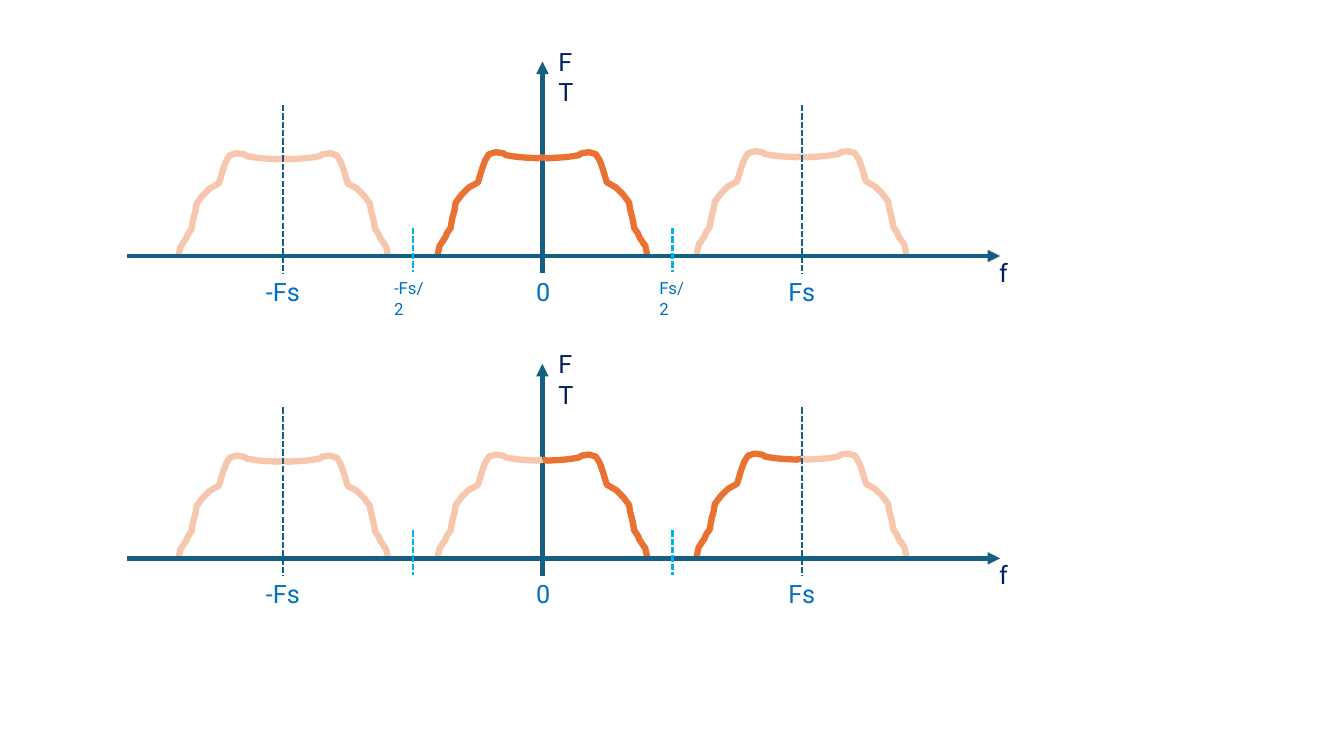
import math

from lxml import etree
from pptx import Presentation
from pptx import util as u
from pptx.dml.color import RGBColor
from pptx.enum import dml, shapes, text
from pptx.oxml.ns import qn

PX = 9144  # EMU per px, 100 px to the inch
COLOURS = {"axis": "156082", "nyquist": "00B0F0", "title": "002060",
           "tick": "0070C0", "strong": "E97132", "pale": "F6C6AD"}
ORIGIN = 538
PERIOD = 257
PANEL_STEP = 300
SAMPLE_LENGTH = 8

# Right half of a spectrum, relative to its middle: two controls and an end per curve
HALF_SPECTRUM = [
    ((2, 0), (3, 1), (5, 1)), ((25, 0), (24, 0), (36, -2)),
    ((37, -3), (38, -4), (39, -4)), ((47, -6), (46, -5), (53, -3)),
    ((58, 5), (56, 1), (59, 9)), ((59, 10), (60, 11), (60, 12)),
    ((62, 25), (59, 15), (63, 22)), ((63, 23), (63, 24), (64, 25)),
    ((66, 28), (70, 29), (73, 30)), ((75, 32), (78, 34), (80, 37)),
    ((85, 43), (83, 40), (86, 45)), ((86, 47), (87, 50), (87, 52)),
    ((88, 55), (89, 57), (89, 59)), ((89, 61), (90, 62), (90, 64)),
    ((90, 66), (90, 68), (91, 70)), ((92, 72), (94, 74), (95, 76)),
    ((95, 77), (95, 78), (96, 79)), ((100, 86), (98, 80), (102, 88)),
    ((104, 93), (104, 93), (104, 97)),
]

# Colours of the left and right halves around -Fs, 0 and Fs
PANELS = [
    [("pale", "pale"), ("strong", "strong"), ("pale", "pale")],
    [("pale", "pale"), ("pale", "strong"), ("strong", "pale")],
]


def set_values(target, values):
    for name, value in values.items():
        setattr(target, name, value)


def colour(name):
    return RGBColor.from_string(COLOURS[name])


def add_line(slide, start, end, name, width, dashed=False, arrow=False):
    line = slide.shapes.add_connector(
        shapes.MSO_CONNECTOR.STRAIGHT, *(v * PX for v in (*start, *end)))
    line.line.color.rgb = colour(name)
    line.line.width = u.Pt(width)
    if dashed:
        line.line.dash_style = dml.MSO_LINE.SQUARE_DOT
    if arrow:
        etree.SubElement(line.line._get_or_add_ln(), qn("a:tailEnd"), type="triangle")
    etree.SubElement(line._element.spPr, qn("a:effectLst"))


def sample_curves(curves):
    """Turn the chain of cubic curves, starting at (0, 0), into points."""
    points = []
    start = (0, 0)
    for first, second, end in curves:
        steps = max(1, round(math.dist(start, end) / SAMPLE_LENGTH))
        corners = (start, first, second, end)
        for step in range(1, steps + 1):
            t = step / steps
            weights = ((1 - t) ** 3, 3 * t * (1 - t) ** 2, 3 * t * t * (1 - t), t ** 3)
            points.append(tuple(sum(w * c[axis] for w, c in zip(weights, corners))
                                for axis in (0, 1)))
        start = end
    return points


def add_half_spectrum(slide, centre, top, side, name):
    """Draw one half; side is -1 for the left and 1 for the right."""
    builder = slide.shapes.build_freeform(centre * PX, top * PX)
    builder.add_line_segments(
        [((centre + side * x) * PX, (top + y) * PX)
         for x, y in sample_curves(HALF_SPECTRUM)], close=False)
    shape = builder.convert_to_shape()
    shape.shadow.inherit = False
    shape.fill.background()
    shape.line.color.rgb = colour(name)
    shape.line.width = u.Pt(4.5)


def add_label(slide, wording, left, top, width, name, size=18):
    height = 40 if size == 18 else 30
    box = slide.shapes.add_textbox(*(v * PX for v in (left, top, width, height)))
    set_values(box.text_frame, {"word_wrap": True,
                                "auto_size": text.MSO_AUTO_SIZE.SHAPE_TO_FIT_TEXT})
    run = box.text_frame.paragraphs[0].add_run()
    run.text = wording
    set_values(run.font, {"name": "Roboto", "size": u.Pt(size)})
    run.font.color.rgb = colour(name)


def add_panel(slide, offset, halves):
    add_line(slide, (ORIGIN, 271 + offset), (ORIGIN, 61 + offset), "axis", 3, arrow=True)
    for order, (left_name, right_name) in zip((-1, 0, 1), halves):
        centre = ORIGIN + order * PERIOD
        top = 156 - order + offset
        add_half_spectrum(slide, centre, top, 1, right_name)
        add_half_spectrum(slide, centre, top, -1, left_name)
        if order:
            add_line(slide, (centre, 104 + offset), (centre, 271 + offset),
                     "axis", 1.5, dashed=True)
    add_label(slide, "FT", 544, 41 + offset, 46, "title")
    add_label(slide, "f", 981, 250 + offset, 32, "title")
    for wording, left, width in (("-Fs", 254, 56), ("0", 522, 34), ("Fs", 772, 48)):
        add_label(slide, wording, left, 269 + offset, width, "tick")
    add_line(slide, (126, 254 + offset), (992, 254 + offset), "axis", 3, arrow=True)
    for x in (410, 667):
        add_line(slide, (x, 226 + offset), (x, 270 + offset), "nyquist", 1.5, dashed=True)


def main():
    presentation = Presentation()
    set_values(presentation, {"slide_width": 1333 * PX, "slide_height": 750 * PX})
    slide = presentation.slides.add_slide(presentation.slide_layouts[6])
    for index, halves in enumerate(PANELS):
        add_panel(slide, index * PANEL_STEP, halves)
    add_label(slide, "-Fs/2", 381, 271, 57, "tick", 12)
    add_label(slide, "Fs/2", 644, 271, 52, "tick", 12)
    presentation.save("out.pptx")


if __name__ == "__main__":
    main()
